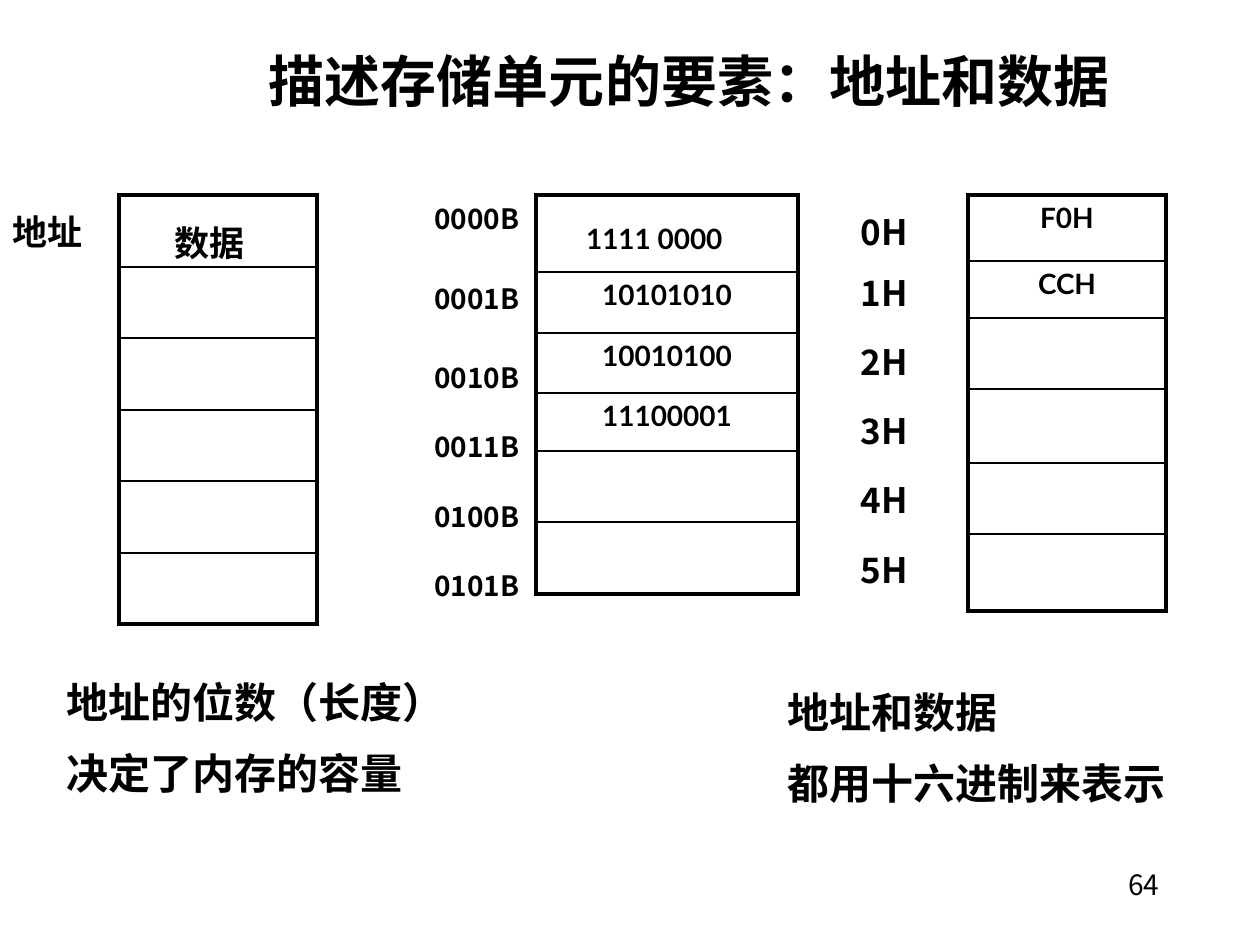
from lxml import etree
from pptx import Presentation
from pptx import util as u
from pptx.dml.color import RGBColor
from pptx.enum import text
from pptx.oxml.ns import qn

BLACK = RGBColor(0x00, 0x00, 0x00)
EMU_PER_INCH = 914400
PX_PER_INCH = 126
LATIN, CJK, TITLE_CJK = "Lato", "Noto Sans CJK KR", "Noto Sans CJK SC"
THICK, THIN = 2.25, 1


def px(length):
    return u.Emu(round(length * EMU_PER_INCH / PX_PER_INCH))


class SlideBuilder:
    """Holds the style and the current slide."""

    def __init__(self, slide):
        self.slide = slide

    def format_paragraph(self, paragraph, size, font, east_asian, bold=True):
        for run in paragraph.runs:
            run.font.size = u.Pt(size)
            run.font.bold = bold
            run.font.name = font
            run.font.color.rgb = BLACK
            latin = run.font._element.find(qn("a:latin"))
            latin.addnext(latin.makeelement(qn("a:ea"), {"typeface": east_asian}))

    def text_box(self, content, left, top, width, height, size,
                 bold=True, font=CJK, align=None, anchor=text.MSO_ANCHOR.TOP):
        shape = self.slide.shapes.add_textbox(px(left), px(top), px(width), px(height))
        frame = shape.text_frame
        frame.word_wrap = True
        frame.vertical_anchor = anchor
        frame.text = content
        for index, paragraph in enumerate(frame.paragraphs):
            paragraph.alignment = align
            if index:
                paragraph.space_before = u.Pt(size / 2)
            self.format_paragraph(paragraph, size, font, font, bold)

    def border(self, cell, side, width):
        properties = cell._tc.get_or_add_tcPr()
        line = etree.SubElement(properties, qn(f"a:ln{side}"), w=str(u.Pt(width)))
        fill = etree.SubElement(line, qn("a:solidFill"))
        etree.SubElement(fill, qn("a:srgbClr"), val=str(BLACK))

    def memory(self, left, top, width, row_heights, values, size=16):
        """Draws a column of memory cells; returns them for fine placement."""
        count = len(row_heights)
        table = self.slide.shapes.add_table(
            count, 1, px(left), px(top), px(width), px(sum(row_heights))).table
        table.first_row = False
        table.horz_banding = False
        table.columns[0].width = px(width)
        cells = [table.cell(row, 0) for row in range(count)]
        for row, cell in enumerate(cells):
            table.rows[row].height = px(row_heights[row])
            self.border(cell, "L", THICK)
            self.border(cell, "R", THICK)
            self.border(cell, "T", THIN if row else THICK)
            self.border(cell, "B", THIN if row < count - 1 else THICK)
            cell.fill.background()
        for cell, value in zip(cells, values):
            cell.text_frame.text = value
            paragraph = cell.text_frame.paragraphs[0]
            paragraph.alignment = text.PP_ALIGN.CENTER
            self.format_paragraph(paragraph, size, LATIN, TITLE_CJK)
        return cells

    def addresses(self, labels, left, tops, width, height, size):
        for label, top in zip(labels, tops):
            self.text_box(label, left, top, width, height, size)


def main():
    presentation = Presentation()
    presentation.slide_width = px(1260)
    presentation.slide_height = px(945)
    builder = SlideBuilder(presentation.slides.add_slide(presentation.slide_layouts[6]))

    # Title and page number
    builder.text_box("描述存储单元的要素：地址和数据", 154, 42, 1071, 78, 32, font=TITLE_CJK,
                     align=text.PP_ALIGN.CENTER, anchor=text.MSO_ANCHOR.BOTTOM)
    builder.text_box("64", 1116, 861, 66, 66, 16, bold=False)

    # General memory column
    data_cell = builder.memory(119, 195, 198, [72, 71, 72, 71, 72, 71], ["数据"], 20)[0]
    data_cell.text_frame.paragraphs[0].alignment = text.PP_ALIGN.LEFT
    data_cell.margin_left = px(56)
    data_cell.margin_top = data_cell.margin_bottom = 0
    data_cell.vertical_anchor = text.MSO_ANCHOR.BOTTOM
    builder.addresses(["地址"], 0, [204], 103, 54, 20)

    # Binary memory column
    first_byte = builder.memory(536, 195, 262, [77, 61, 60, 58, 71, 72],
                                ["1111 0000", "10101010", "10010100", "11100001"])[0]
    first_byte.margin_top = px(27)
    first_byte.margin_right = px(38)
    builder.addresses([f"{number:04b}B" for number in range(6)], 422,
                      [195, 275, 354, 423, 493, 562], 120, 47, 16)

    # Hexadecimal memory column
    builder.memory(968, 195, 198, [66, 57, 71, 74, 71, 77], ["F0H", "CCH"])
    builder.addresses([f"{number:X}H" for number in range(6)], 848,
                      [204, 265, 334, 403, 472, 542], 103, 54, 20)

    # Conclusions
    builder.text_box("地址的位数（长度）\n决定了内存的容量", 54, 670, 407, 139, 24)
    builder.text_box("地址和数据\n都用十六进制来表示", 775, 680, 485, 139, 24)

    presentation.save("out.pptx")


if __name__ == "__main__":
    main()
